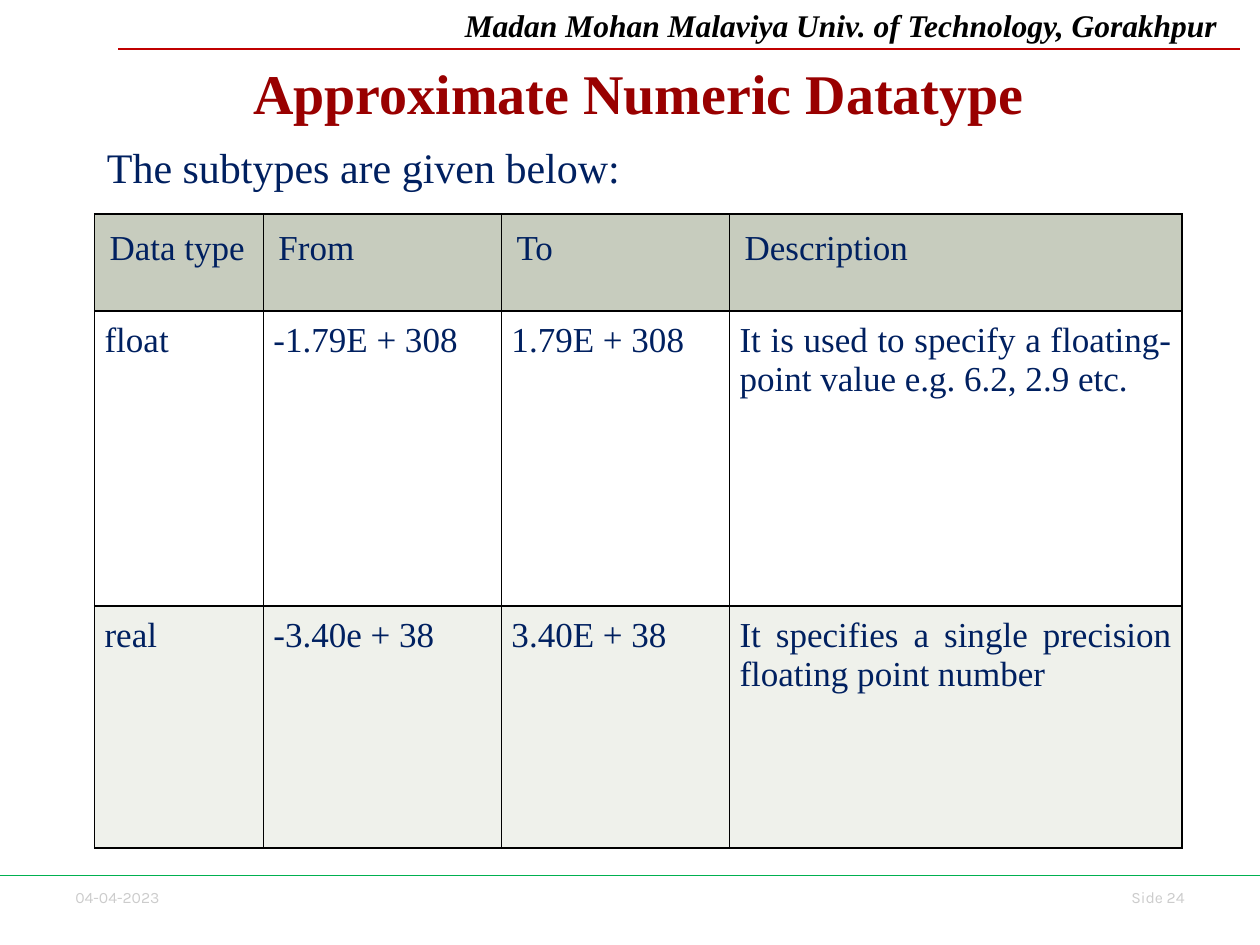
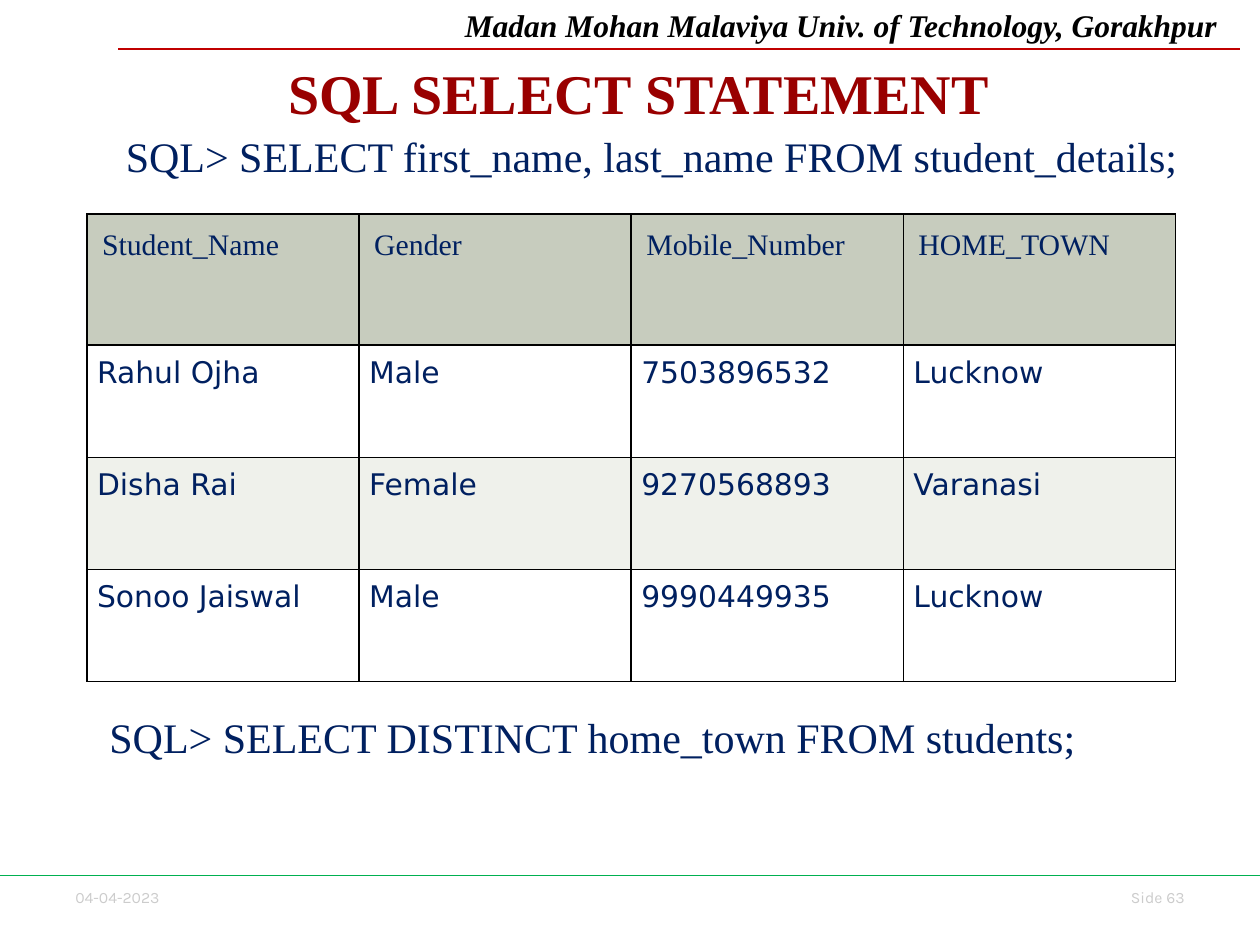
from lxml import etree
from pptx import Presentation
from pptx import util as u
from pptx.dml import color
from pptx.enum import shapes, text
from pptx.oxml import ns

SERIF, SANS, FOOTER_FONT = "Times New Roman", "DejaVu Sans", "Karla"
NAVY, MAROON, GREY, BLACK = "002060", "990000", "CCCCCC", "000000"
RED_RULE, GREEN_RULE = "C00000", "00B050"
HEADER_FILL, ROW_FILLS = "C7CCBE", ("FFFFFF", "EFF1EB")
LEFT, RIGHT, CENTER, JUSTIFY = (
    text.PP_ALIGN.LEFT, text.PP_ALIGN.RIGHT, text.PP_ALIGN.CENTER, text.PP_ALIGN.JUSTIFY)
TITLE_BOX = (0.78, 0.36, 8.58, 0.75)


def rgb(hex_code):
    return color.RGBColor.from_string(hex_code)


def inches(values):
    return [u.Inches(value) for value in values]


def write(frame, wording, size, hex_code, face=SERIF, align=LEFT, bold=False, italic=False):
    frame.text = wording
    paragraph = frame.paragraphs[0]
    paragraph.alignment = align
    font = paragraph.font
    font.name, font.size, font.bold, font.italic = face, u.Pt(size), bold, italic
    font.color.rgb = rgb(hex_code)


def add_text(slide, box, wording, size, hex_code, **style):
    frame = slide.shapes.add_textbox(*inches(box)).text_frame
    frame.word_wrap = True
    write(frame, wording, size, hex_code, **style)


def add_rule(slide, left, right, top, hex_code):
    rule = slide.shapes.add_connector(
        shapes.MSO_CONNECTOR.STRAIGHT, *inches((left, top, right, top)))
    rule.line.color.rgb = rgb(hex_code)
    rule.line.width = u.Pt(0.75)
    etree.SubElement(rule._element.spPr, ns.qn("a:effectLst"))


def add_banner(slide):
    add_text(slide, (3.59, 0, 6.41, 0.4), "Madan Mohan Malaviya Univ. of Technology, Gorakhpur",
             18, BLACK, bold=True, italic=True)
    add_rule(slide, 0.94, 9.84, 0.39, RED_RULE)


def add_footer(slide, number):
    add_rule(slide, 0, 10, 6.95, GREEN_RULE)
    add_text(slide, (0.5, 7, 1.03, 0.25), "04-04-2023", 9, GREY, face=FOOTER_FONT)
    add_text(slide, (8.67, 7, 0.83, 0.25), f"Side {number}", 9, GREY,
             face=FOOTER_FONT, align=RIGHT)


def add_slide(deck, heading, number):
    slide = deck.slides.add_slide(deck.slide_layouts[5])
    add_banner(slide)
    add_footer(slide, number)
    title = slide.shapes.title
    title.left, title.top, title.width, title.height = inches(TITLE_BOX)
    title.text_frame.vertical_anchor = text.MSO_ANCHOR.MIDDLE
    write(title.text_frame, heading, 32, MAROON, align=CENTER, bold=True)
    return slide


def add_borders(cell):
    properties = cell._tc.get_or_add_tcPr()
    for side in ("a:lnL", "a:lnR", "a:lnT", "a:lnB"):
        border = etree.SubElement(properties, ns.qn(side), w=str(u.Pt(1)))
        fill = etree.SubElement(border, ns.qn("a:solidFill"))
        etree.SubElement(fill, ns.qn("a:srgbClr"), val=BLACK)


def add_data_table(slide, left, top, widths, heights, records, size, body_face, align):
    box = inches((left, top, sum(widths), sum(heights)))
    table = slide.shapes.add_table(len(heights), len(widths), *box).table
    for column, width in zip(table.columns, widths):
        column.width = u.Inches(width)
    for row_index, (row, height, record) in enumerate(zip(table.rows, heights, records)):
        row.height = u.Inches(height)
        is_header = row_index == 0
        margin = u.Inches(0.12 if is_header else 0.08)
        for cell, wording in zip(row.cells, record):
            add_borders(cell)
            cell.fill.solid()
            cell.fill.fore_color.rgb = rgb(
                HEADER_FILL if is_header else ROW_FILLS[(row_index - 1) % 2])
            cell.margin_left = cell.margin_right = margin
            cell.margin_top = cell.margin_bottom = margin
            write(cell.text_frame, wording, size, NAVY,
                  face=SERIF if is_header else body_face, align=align)


def build_datatype_slide(deck):
    slide = add_slide(deck, "Approximate Numeric Datatype", 24)
    datatypes = [
        ("Data type", "From", "To", "Description"),
        ("float", "-1.79E + 308", "1.79E + 308",
         "It is used to specify a floating-point value e.g. 6.2, 2.9 etc."),
        ("real", "-3.40e + 38", "3.40E + 38",
         "It specifies a single precision floating point number"),
    ]
    add_data_table(slide, 0.75, 1.7, (1.34, 1.89, 1.81, 3.59), (0.77, 2.34, 1.92),
                   datatypes, 20, SERIF, JUSTIFY)
    add_text(slide, (0.75, 1.07, 4.31, 0.51), "The subtypes are given below:", 24, NAVY)


def build_select_slide(deck):
    slide = add_slide(deck, "SQL SELECT STATEMENT", 63)
    students = [
        ("Student_Name", "Gender", "Mobile_Number", "HOME_TOWN"),
        ("Rahul Ojha", "Male", "7503896532", "Lucknow"),
        ("Disha Rai", "Female", "9270568893", "Varanasi"),
        ("Sonoo Jaiswal", "Male", "9990449935", "Lucknow"),
    ]
    add_text(slide, (0.9, 0.99, 8.58, 0.51),
             "SQL> SELECT first_name, last_name FROM student_details;", 24, NAVY, align=JUSTIFY)
    add_data_table(slide, 0.69, 1.7, [2.16] * 4, [1.04] + [0.89] * 3,
                   students, 17, SANS, LEFT)
    add_text(slide, (0.77, 5.6, 8.38, 0.51),
             "SQL> SELECT DISTINCT home_town FROM students;", 24, NAVY)


def main():
    deck = Presentation()
    deck.slide_width, deck.slide_height = inches((10, 7.5))
    build_datatype_slide(deck)
    build_select_slide(deck)
    deck.save("out.pptx")


if __name__ == "__main__":
    main()
